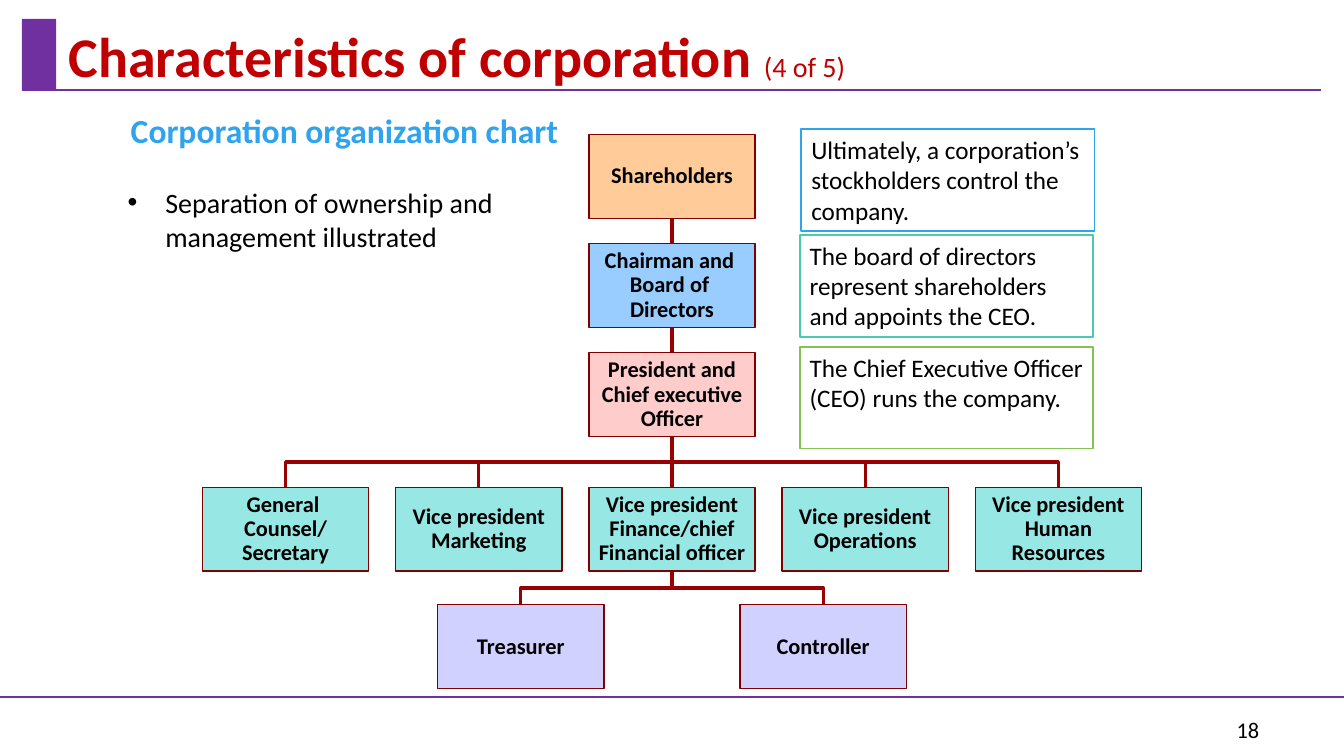
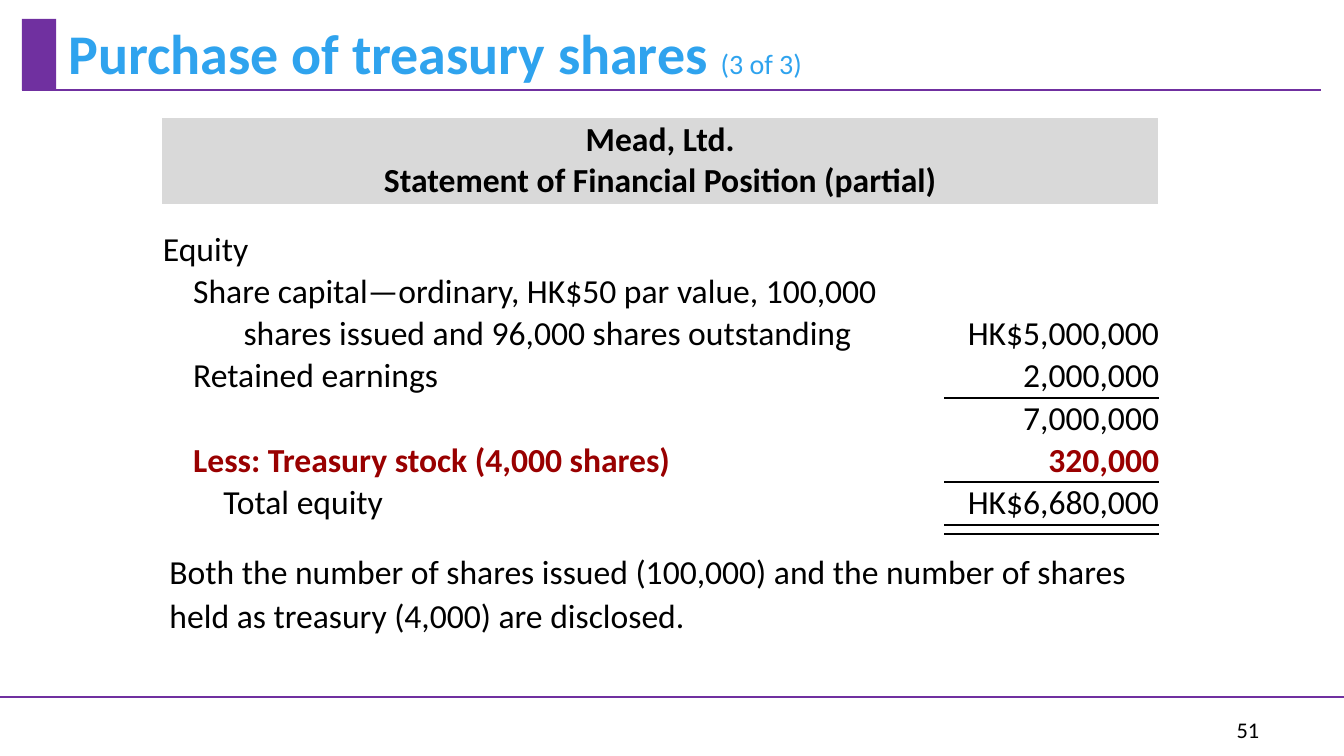
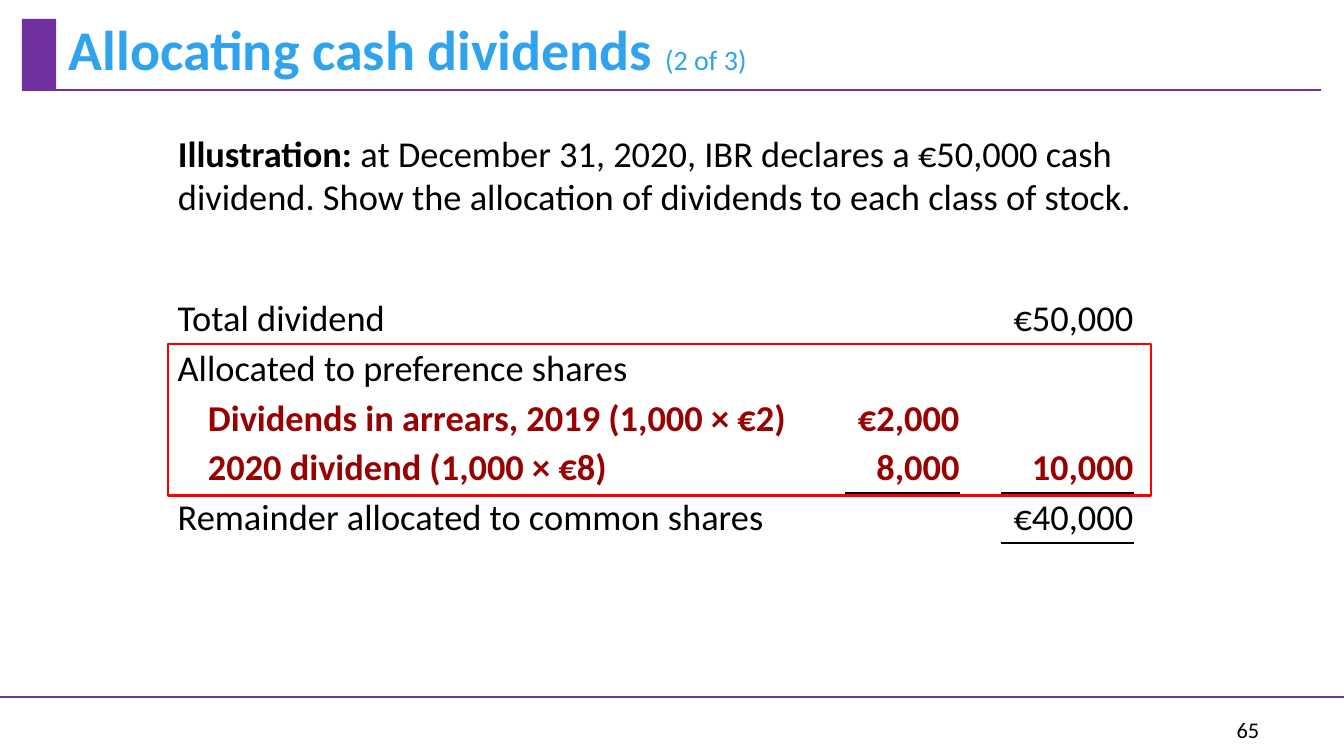
from dataclasses import dataclass
from typing import NamedTuple, Optional, Sequence

import lxml.etree
import pptx
import pptx.dml.color
import pptx.enum.shapes
import pptx.enum.text
import pptx.oxml.ns
import pptx.shapes.autoshape
import pptx.slide
import pptx.table
import pptx.text.text
import pptx.util

COLUMNS, ROWS = 160, 90
SLIDE_WIDTH, SLIDE_HEIGHT = 12192000, 6858000
FONT = "Calibri"
PLAIN_TABLE = "{2D5ABB26-0587-4C30-8999-92F81FD0307C}"
COLORS = {
    "text": "000000",
    "paper": "FFFFFF",
    "band": "7030A0",
    "red_title": "C00000",
    "blue_title": "2FA3EE",
    "emphasis": "990000",
    "box_edge": "800000",
    "shareholders": "FFCC99",
    "board": "99CCFF",
    "president": "FFCCCC",
    "vice": "97E7E5",
    "staff": "D1D1FF",
    "board_note": "4BCAAD",
    "ceo_note": "86C157",
    "heading": "D9D9D9",
    "highlight": "FF0000",
}
ALIGN = pptx.enum.text.PP_ALIGN
ANCHOR = pptx.enum.text.MSO_ANCHOR
CONNECTOR = pptx.enum.shapes.MSO_CONNECTOR
qn = pptx.oxml.ns.qn


class Span(NamedTuple):
    text: str
    size: float
    color: str = "text"
    bold: bool = False


class Area(NamedTuple):
    column: float
    row: float
    columns: float
    rows: float


@dataclass(frozen=True)
class OrgBox:
    key: str
    lines: tuple[str, ...]
    center: float
    row: float
    fill: str
    boss: str = ""


@dataclass(frozen=True)
class Note:
    area: Area
    text: str
    edge: str


@dataclass(frozen=True)
class Entry:
    cells: tuple[str, ...]
    indent: float = 0
    strong: bool = False
    ruled: tuple[int, ...] = ()
    rows: Optional[float] = None


@dataclass(frozen=True)
class Statement:
    column: float
    row: float
    widths: tuple[float, ...]
    row_height: float
    size: float
    padding: float
    entries: tuple[Entry, ...]


def across(columns: float) -> int:
    return round(SLIDE_WIDTH * columns / COLUMNS)


def down(rows: float) -> int:
    return round(SLIDE_HEIGHT * rows / ROWS)


def place(area: Area) -> tuple[int, int, int, int]:
    return across(area.column), down(area.row), across(area.columns), down(area.rows)


def rgb(color: str) -> pptx.dml.color.RGBColor:
    return pptx.dml.color.RGBColor.from_string(COLORS[color])


def write(
    frame: pptx.text.text.TextFrame,
    paragraphs: Sequence[Sequence[Span]],
    align: ALIGN = ALIGN.LEFT,
    spacing: Optional[float] = None,
) -> None:
    for index, spans in enumerate(paragraphs):
        paragraph = frame.paragraphs[0] if index == 0 else frame.add_paragraph()
        paragraph.alignment = align
        if spacing:
            paragraph.line_spacing = spacing
        for span in spans:
            run = paragraph.add_run()
            run.text = span.text
            run.font.name = FONT
            run.font.size = pptx.util.Pt(span.size)
            run.font.bold = span.bold
            run.font.color.rgb = rgb(span.color)


def add_text(
    slide: pptx.slide.Slide,
    area: Area,
    spans: Sequence[Span],
    align: ALIGN = ALIGN.LEFT,
    spacing: Optional[float] = None,
    anchor: ANCHOR = ANCHOR.TOP,
) -> pptx.text.text.TextFrame:
    frame = slide.shapes.add_textbox(*place(area)).text_frame
    frame.word_wrap = True
    frame.vertical_anchor = anchor
    write(frame, [spans], align, spacing)
    return frame


def add_box(
    slide: pptx.slide.Slide,
    area: Area,
    fill: Optional[str] = None,
    edge: Optional[str] = None,
    weight: float = 1,
) -> pptx.shapes.autoshape.Shape:
    box = slide.shapes.add_shape(pptx.enum.shapes.MSO_SHAPE.RECTANGLE, *place(area))
    box.shadow.inherit = False
    if fill:
        box.fill.solid()
        box.fill.fore_color.rgb = rgb(fill)
    else:
        box.fill.background()
    if edge:
        box.line.color.rgb = rgb(edge)
        box.line.width = pptx.util.Pt(weight)
    else:
        box.line.fill.background()
    return box


def add_line(
    slide: pptx.slide.Slide,
    start: tuple[float, float],
    end: tuple[float, float],
    color: str,
    weight: float,
    kind: CONNECTOR = CONNECTOR.STRAIGHT,
    rotation: int = 0,
) -> None:
    line = slide.shapes.add_connector(
        kind, across(start[0]), down(start[1]), across(end[0]), down(end[1])
    )
    line.line.color.rgb = rgb(color)
    line.line.width = pptx.util.Pt(weight)
    properties = line._element.spPr
    lxml.etree.SubElement(properties, qn("a:effectLst"))
    if rotation:
        properties.find(qn("a:xfrm")).set("rot", str(rotation * 60000))


def add_branch(
    slide: pptx.slide.Slide, start: tuple[float, float], end: tuple[float, float]
) -> None:
    shift, drop = end[0] - start[0], end[1] - start[1]
    if shift == 0:
        add_line(slide, start, end, "emphasis", 2.25)
        return
    middle = (start[0] + end[0]) / 2, (start[1] + end[1]) / 2
    side = 1 if shift > 0 else -1
    add_line(
        slide,
        (middle[0] + side * drop / 2, middle[1] - abs(shift) / 2),
        (middle[0] - side * drop / 2, middle[1] + abs(shift) / 2),
        "emphasis",
        2.25,
        CONNECTOR.ELBOW,
        270 if shift > 0 else 90,
    )


def start_slide(
    deck: pptx.presentation.Presentation,
    title: str,
    part: str,
    number: int,
    color: str,
    title_row: float,
) -> pptx.slide.Slide:
    slide = deck.slides.add_slide(deck.slide_layouts[6])
    add_line(slide, (0, 83), (COLUMNS, 83), "band", 1)
    add_line(slide, (2.6, 10.7), (157.3, 10.7), "band", 1.25)
    add_box(slide, Area(2.6, 2.25, 4.1, 8.5), "band")
    add_text(
        slide,
        Area(141, 84.4, 10.1, 4.8),
        [Span(str(number), 16)],
        ALIGN.RIGHT,
        anchor=ANCHOR.MIDDLE,
    )
    add_text(
        slide,
        Area(7, title_row, 130, 8.5),
        [Span(title, 40, color, True), Span(part, 20, color)],
        spacing=0.9,
        anchor=ANCHOR.MIDDLE,
    )
    return slide


def add_plain_table(
    slide: pptx.slide.Slide,
    column: float,
    row: float,
    widths: Sequence[float],
    heights: Sequence[float],
) -> pptx.table.Table:
    area = Area(column, row, sum(widths), sum(heights))
    table = slide.shapes.add_table(len(heights), len(widths), *place(area)).table
    table.first_row = False
    table.horz_banding = False
    table._tbl.tblPr.find(qn("a:tableStyleId")).text = PLAIN_TABLE
    for table_column, width in zip(table.columns, widths):
        table_column.width = across(width)
    for table_row, height in zip(table.rows, heights):
        table_row.height = down(height)
    return table


def fill_cell(
    cell: pptx.table._Cell,
    spans: Sequence[Span],
    align: ALIGN,
    padding: float,
    indent: float = 0,
    fill: Optional[str] = None,
    ruled: bool = False,
) -> None:
    cell.margin_left, cell.margin_right = across(indent), 0
    cell.margin_top = cell.margin_bottom = pptx.util.Pt(padding)
    cell.vertical_anchor = ANCHOR.BOTTOM
    if ruled:
        rule = lxml.etree.SubElement(
            cell._tc.get_or_add_tcPr(), qn("a:lnB"), w=str(pptx.util.Pt(1.5))
        )
        paint = lxml.etree.SubElement(rule, qn("a:solidFill"))
        lxml.etree.SubElement(paint, qn("a:srgbClr"), val=COLORS["text"])
    if fill:
        cell.fill.solid()
        cell.fill.fore_color.rgb = rgb(fill)
    else:
        cell.fill.background()
    if spans:
        write(cell.text_frame, [[span] for span in spans], align)
    else:
        lxml.etree.SubElement(
            cell.text_frame.paragraphs[0]._p, qn("a:endParaRPr"), sz="400"
        )


def add_statement(slide: pptx.slide.Slide, statement: Statement) -> None:
    heights = [entry.rows or statement.row_height for entry in statement.entries]
    table = add_plain_table(
        slide, statement.column, statement.row, statement.widths, heights
    )
    for row, entry in enumerate(statement.entries):
        color = "emphasis" if entry.strong else "text"
        for column, text in enumerate(entry.cells):
            fill_cell(
                table.cell(row, column),
                [Span(text, statement.size, color, entry.strong)] if text else [],
                ALIGN.RIGHT if column else ALIGN.LEFT,
                statement.padding,
                0 if column else entry.indent,
                ruled=column in entry.ruled,
            )


BOX_WIDTH, BOX_HEIGHT, CENTER, VICE_STEP = 19.8, 10, 80, 23
VICE_LABELS = (
    ("General ", "Counsel/", "Secretary"),
    ("Vice president", "Marketing"),
    ("Vice president", "Finance/chief", "Financial officer"),
    ("Vice president", "Operations"),
    ("Vice president", "Human", "Resources"),
)
ORG_BOXES = (
    OrgBox("shareholders", ("Shareholders",), CENTER, 16, "shareholders"),
    OrgBox("board", ("Chairman and ", "Board of ", "Directors"),
           CENTER, 29, "board", "shareholders"),
    OrgBox("president", ("President and", "Chief executive", "Officer"),
           CENTER, 42, "president", "board"),
    *(
        OrgBox(lines[1], lines, CENTER + VICE_STEP * (index - 2), 58, "vice", "president")
        for index, lines in enumerate(VICE_LABELS)
    ),
    OrgBox("treasurer", ("Treasurer",), CENTER - 18, 72, "staff", "Finance/chief"),
    OrgBox("controller", ("Controller",), CENTER + 18, 72, "staff", "Finance/chief"),
)
NOTES = (
    Note(Area(95.4, 15.4, 34.9, 12.1),
         "Ultimately, a corporation’s stockholders control the company.", "blue_title"),
    Note(Area(95.2, 28, 34.9, 12.1),
         "The board of directors represent shareholders and appoints the CEO.", "board_note"),
    Note(Area(95.2, 41.3, 34.9, 12.1),
         "The Chief Executive Officer (CEO) runs the company.", "ceo_note"),
)
EQUITY = Statement(19.4, 27.2, (93, 25.6), 5.04, 24, 0.5, (
    Entry(("Equity", "")),
    Entry(("Share capital—ordinary, HK$50 par value, 100,000", ""), 3.6),
    Entry(("shares issued and 96,000 shares outstanding", "HK$5,000,000"), 9.6),
    Entry(("Retained earnings", "2,000,000"), 3.6, ruled=(1,)),
    Entry(("", "7,000,000")),
    Entry(("Less: Treasury stock (4,000 shares)", "320,000"), 3.6, True, (1,)),
    Entry(("Total equity", "HK$6,680,000"), 7.2, ruled=(1,)),
    Entry(("", ""), ruled=(1,), rows=1.08),
))
DIVIDENDS = Statement(21.15, 35, (79.5, 13.6, 4.9, 15.8), 5.93, 26, 1.8, (
    Entry(("Total dividend", "", "", "€50,000")),
    Entry(("Allocated to preference shares", "", "", "")),
    Entry(("Dividends in arrears, 2019 (1,000 × €2)", "€2,000", "", ""), 3.6, True),
    Entry(("2020 dividend (1,000 × €8)", "8,000", "", "10,000"), 3.6, True, (1, 3)),
    Entry(("Remainder allocated to common shares", "", "", "€40,000"), ruled=(3,)),
))


def build_organization(deck: pptx.presentation.Presentation) -> None:
    slide = start_slide(
        deck, "Characteristics of corporation ", "(4 of 5)", 18, "red_title", 2.8
    )
    posts = {post.key: post for post in ORG_BOXES}
    for post in ORG_BOXES:
        if post.boss:
            boss = posts[post.boss]
            add_branch(slide, (boss.center, boss.row + BOX_HEIGHT), (post.center, post.row))
    for post in ORG_BOXES:
        area = Area(post.center - BOX_WIDTH / 2, post.row, BOX_WIDTH, BOX_HEIGHT)
        frame = add_box(slide, area, post.fill, "box_edge").text_frame
        frame.word_wrap = False
        frame.vertical_anchor = ANCHOR.MIDDLE
        write(frame, [[Span(line, 16, bold=True)] for line in post.lines], ALIGN.CENTER, 0.9)
    add_text(
        slide,
        Area(7, 13, 68, 5.5),
        [Span("Corporation organization chart", 24, "blue_title", True)],
        ALIGN.CENTER,
        0.9,
    )
    separation = add_text(
        slide,
        Area(14, 21.5, 51.7, 9.2),
        [Span("Separation of ownership and management illustrated", 20)],
    )
    bullet = separation.paragraphs[0]._p.get_or_add_pPr()
    bullet.set("marL", str(across(4.5)))
    bullet.set("indent", str(-across(4.5)))
    lxml.etree.SubElement(bullet, qn("a:buFont"), typeface="Arial")
    lxml.etree.SubElement(bullet, qn("a:buChar"), char="•")
    for note in NOTES:
        frame = add_box(slide, note.area, "paper", note.edge, 1.25).text_frame
        frame.word_wrap = True
        frame.vertical_anchor = ANCHOR.TOP
        write(frame, [[Span(note.text, 18)]])


def build_treasury(deck: pptx.presentation.Presentation) -> None:
    slide = start_slide(
        deck, "Purchase of treasury shares ", "(3 of 3)", 51, "blue_title", 2.5
    )
    heading = add_plain_table(slide, 19.3, 14, (118.6,), (10.3,))
    heading_lines = ("Mead, Ltd.", "Statement of Financial Position (partial)")
    fill_cell(
        heading.cell(0, 0),
        [Span(line, 24, bold=True) for line in heading_lines],
        ALIGN.CENTER,
        1.8,
        fill="heading",
    )
    add_text(
        slide,
        Area(19, 64.5, 120, 12),
        [Span("Both the number of shares issued (100,000) and the number of shares "
              "held as treasury (4,000) are disclosed.", 24)],
        spacing=1.1,
    )
    add_statement(slide, EQUITY)


def build_dividends(deck: pptx.presentation.Presentation) -> None:
    slide = start_slide(
        deck, "Allocating cash dividends ", "(2 of 3)", 65, "blue_title", 2
    )
    add_text(
        slide,
        Area(20, 15, 119.2, 17),
        [Span("Illustration: ", 26, bold=True),
         Span("at December 31, 2020, IBR declares a €50,000 cash dividend. "
              "Show the allocation of dividends to each class of stock.", 26)],
    )
    add_statement(slide, DIVIDENDS)
    add_box(slide, Area(20, 41, 117, 18), edge="highlight", weight=1.5)


def main() -> None:
    deck = pptx.Presentation()
    deck.slide_width, deck.slide_height = SLIDE_WIDTH, SLIDE_HEIGHT
    build_organization(deck)
    build_treasury(deck)
    build_dividends(deck)
    deck.save("out.pptx")


if __name__ == "__main__":
    main()
